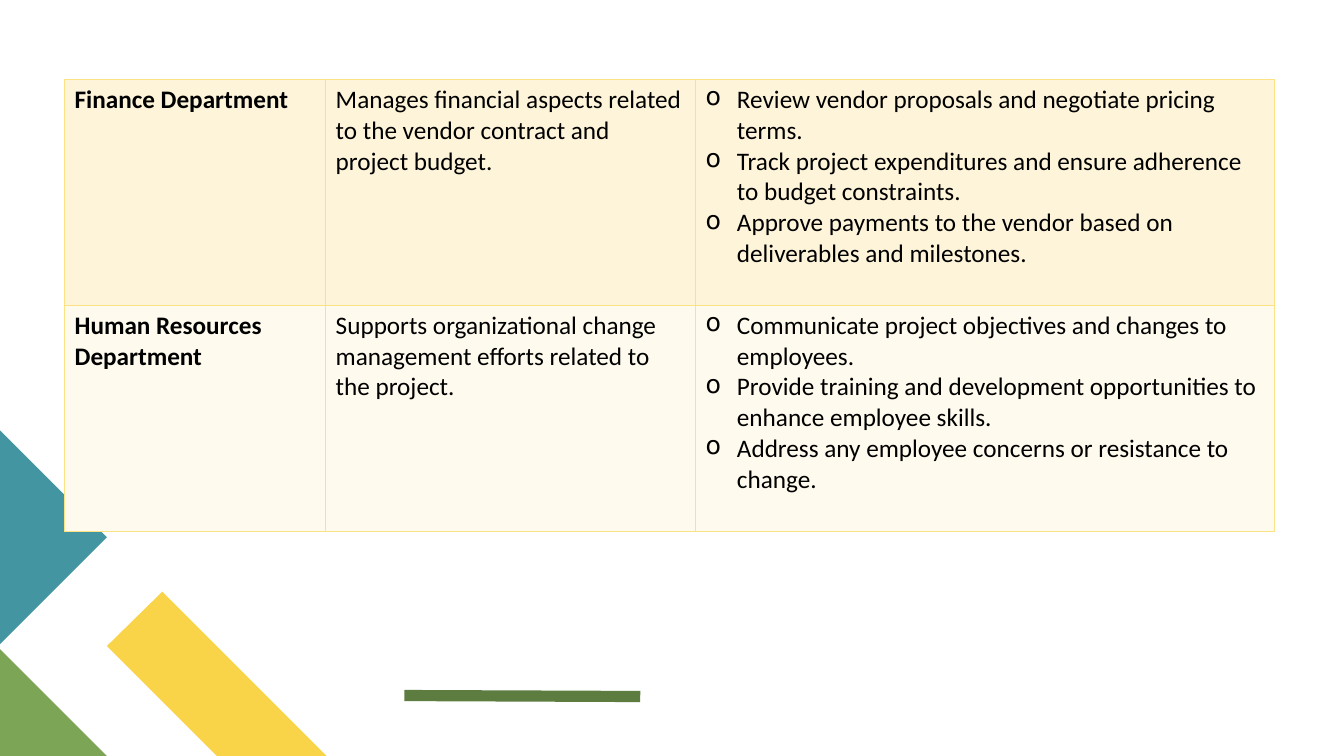
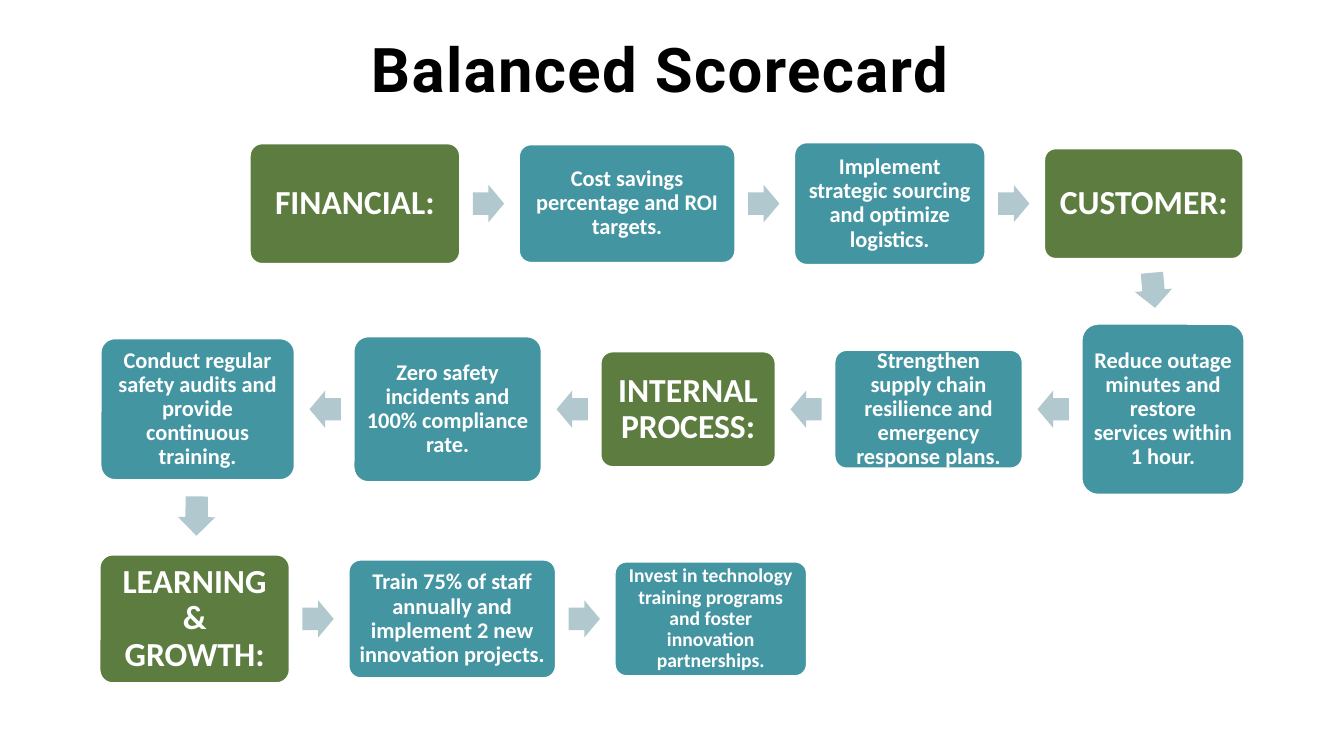
from dataclasses import dataclass

import pptx
import pptx.dml.color
import pptx.enum.shapes
import pptx.enum.text
import pptx.oxml
import pptx.oxml.ns
import pptx.shapes.autoshape
import pptx.slide
import pptx.table
import pptx.text.text
import pptx.util
from lxml import etree
from pptx.util import Inches

# Shared look
GREEN, TEAL, ARROW = "5D7D40", "4495A2", "B0C8CE"
YELLOW, LEAF, BORDER = "F9D448", "7CA655", "FBE284"
WHITE, BLACK = "FFFFFF", "000000"
BODY_FONT, TITLE_FONT = "Calibri", "Roboto"
BLANK_LAYOUT = 6
SHAPES = pptx.enum.shapes.MSO_SHAPE
ANCHOR = pptx.enum.text.MSO_ANCHOR
ALIGN = pptx.enum.text.PP_ALIGN


@dataclass(frozen=True)
class Department:
    name: str
    role: str
    duties: tuple[str, ...]
    fill: str


@dataclass(frozen=True)
class Step:
    text: str
    width: float
    height: float
    heading: bool = False
    size: int = 16


@dataclass(frozen=True)
class FlowRow:
    start: float  # edge where the row begins
    middle: float
    direction: int  # 1 runs to the right, -1 to the left
    steps: tuple[Step, ...]


DEPARTMENTS = (
    Department(
        "Finance Department",
        "Manages financial aspects related to the vendor contract and project budget.",
        (
            "Review vendor proposals and negotiate pricing terms.",
            "Track project expenditures and ensure adherence to budget constraints.",
            "Approve payments to the vendor based on deliverables and milestones.",
        ),
        "FDF4D9",
    ),
    Department(
        "Human Resources Department",
        "Supports organizational change management efforts related to the project.",
        (
            "Communicate project objectives and changes to employees.",
            "Provide training and development opportunities to enhance employee skills.",
            "Address any employee concerns or resistance to change.",
        ),
        "FEFAED",
    ),
)
COLUMN_WIDTHS = (2.59, 3.67, 5.74)
ROW_HEIGHT = 2.24

CORNER_PIECES = (
    (YELLOW, ((3.24, 7.5), (2.15, 7.5), (1.06, 6.41), (1.61, 5.87))),
    (LEAF, ((1.06, 7.5), (0, 7.5), (0, 6.44))),
    (TEAL, ((0, 4.27), (1.06, 5.33), (0, 6.39))),
)

FLOW = (
    FlowRow(2.48, 2.02, 1, (
        Step("FINANCIAL:", 2.08, 1.19, True),
        Step("Cost savings percentage and ROI targets.", 2.14, 1.17),
        Step("Implement strategic sourcing and optimize logistics.", 1.89, 1.21),
        Step("CUSTOMER:", 1.97, 1.09, True),
    )),
    FlowRow(12.34, 4.06, -1, (
        Step("Reduce outage minutes and restore services within 1 hour.", 1.61, 1.69),
        Step("Strengthen supply chain resilience and emergency response plans.", 1.86, 1.17),
        Step("INTERNAL PROCESS:", 1.73, 1.14, True),
        Step("Zero safety incidents and 100% compliance rate.", 1.86, 1.44),
        Step("Conduct regular safety audits and provide continuous training.", 1.92, 1.4),
    )),
    FlowRow(0.99, 6.14, 1, (
        Step("LEARNING & GROWTH:", 1.88, 1.27, True),
        Step("Train 75% of staff annually and implement 2 new innovation projects.", 2.05, 1.17),
        Step("Invest in technology training programs and foster innovation partnerships.",
             1.9, 1.13, size=14),
    )),
)
STEP_GAP, ARROW_OFFSET = 0.59, 0.13
ARROW_LENGTH, ARROW_HEIGHT = 0.31, 0.37


# Drawing helpers
def color(value: str) -> pptx.dml.color.RGBColor:
    return pptx.dml.color.RGBColor.from_string(value)


def write_text(
    frame: pptx.text.text.TextFrame,
    text: str,
    *,
    size: float = 18,
    font: str = BODY_FONT,
    fill: str = BLACK,
    bold: bool = False,
    align: ALIGN = ALIGN.LEFT,
    line_spacing: float | None = None,
    tracking: float = 0,
    bullet: str = "",
) -> None:
    """Write one paragraph, filling the frame's empty first one if there is one."""
    first = frame.paragraphs[0]
    paragraph = frame.add_paragraph() if first.runs else first
    paragraph.alignment = align
    if line_spacing:
        paragraph.line_spacing = line_spacing
    if bullet:
        properties = paragraph._p.get_or_add_pPr()
        properties.set("marL", str(Inches(0.31)))
        properties.set("indent", str(-Inches(0.31)))
        mark = etree.SubElement(properties, pptx.oxml.ns.qn("a:buChar"))
        mark.set("char", bullet)
    run = paragraph.add_run()
    run.text = text
    run.font.name = font
    run.font.size = pptx.util.Pt(size)
    run.font.bold = bold
    run.font.color.rgb = color(fill)
    if tracking:
        run._r.get_or_add_rPr().set("spc", str(round(tracking * 100)))


def set_frame(frame: pptx.text.text.TextFrame, inset: float, anchor: ANCHOR) -> None:
    frame.word_wrap = True
    frame.vertical_anchor = anchor
    frame.margin_left = frame.margin_right = Inches(inset)
    frame.margin_top = frame.margin_bottom = Inches(inset)


def paint(shape: pptx.shapes.autoshape.Shape, fill: str, line: str = "") -> None:
    shape.shadow.inherit = False
    shape.fill.solid()
    shape.fill.fore_color.rgb = color(fill)
    if line:
        shape.line.color.rgb = color(line)
        shape.line.width = pptx.util.Pt(1)
    else:
        shape.line.fill.background()


def add_centered(
    slide: pptx.slide.Slide, kind: SHAPES, x: float, y: float, width: float, height: float
) -> pptx.shapes.autoshape.Shape:
    return slide.shapes.add_shape(
        kind, Inches(x - width / 2), Inches(y - height / 2), Inches(width), Inches(height)
    )


def add_arrow(
    slide: pptx.slide.Slide, x: float, y: float, rotation: float, length: float = ARROW_LENGTH
) -> None:
    arrow = add_centered(slide, SHAPES.RIGHT_ARROW, x, y, length, ARROW_HEIGHT)
    arrow.adjustments[0], arrow.adjustments[1] = 0.6, 0.5
    arrow.rotation = rotation
    paint(arrow, ARROW)


def add_step(slide: pptx.slide.Slide, step: Step, x: float, y: float) -> None:
    box = add_centered(slide, SHAPES.ROUNDED_RECTANGLE, x, y, step.width, step.height)
    box.adjustments[0] = 0.1
    paint(box, GREEN if step.heading else TEAL, WHITE)
    size = 24 if step.heading else step.size
    set_frame(box.text_frame, round(size / 240, 2), ANCHOR.MIDDLE)
    write_text(box.text_frame, step.text, size=size, fill=WHITE, bold=True,
               align=ALIGN.CENTER, line_spacing=0.9)


def add_corner_decoration(slide: pptx.slide.Slide) -> None:
    for fill, points in CORNER_PIECES:
        corners = [(Inches(x), Inches(y)) for x, y in points]
        builder = slide.shapes.build_freeform(*corners[0])
        builder.add_line_segments(corners[1:], close=True)
        paint(builder.convert_to_shape(), fill)
    rule = slide.shapes.add_connector(
        pptx.enum.shapes.MSO_CONNECTOR.STRAIGHT,
        Inches(4.01), Inches(6.9), Inches(6.35), Inches(6.91),
    )
    rule.line.color.rgb = color(GREEN)
    rule.line.width = pptx.util.Pt(8)
    etree.SubElement(rule._element.spPr, pptx.oxml.ns.qn("a:effectLst"))


def style_cell(cell: pptx.table._Cell, fill: str) -> None:
    properties = cell._tc.get_or_add_tcPr()
    for side in ("lnL", "lnR", "lnT", "lnB"):
        border = etree.SubElement(properties, pptx.oxml.ns.qn(f"a:{side}"))
        border.set("w", str(pptx.util.Pt(1)))
        solid = etree.SubElement(border, pptx.oxml.ns.qn("a:solidFill"))
        etree.SubElement(solid, pptx.oxml.ns.qn("a:srgbClr")).set("val", BORDER)
    cell.fill.solid()
    cell.fill.fore_color.rgb = color(fill)


# Slides
def build_departments(slide: pptx.slide.Slide) -> None:
    add_corner_decoration(slide)
    table = slide.shapes.add_table(
        len(DEPARTMENTS), len(COLUMN_WIDTHS), Inches(0.64), Inches(0.79),
        Inches(sum(COLUMN_WIDTHS)), Inches(ROW_HEIGHT * len(DEPARTMENTS)),
    ).table
    table.first_row = table.horz_banding = False
    for column, width in zip(table.columns, COLUMN_WIDTHS):
        column.width = Inches(width)
    for row, department in zip(table.rows, DEPARTMENTS):
        row.height = Inches(ROW_HEIGHT)
        name, role, duties = row.cells
        for cell in (name, role, duties):
            style_cell(cell, department.fill)
        write_text(name.text_frame, department.name, bold=True)
        write_text(role.text_frame, department.role)
        for duty in department.duties:
            write_text(duties.text_frame, duty, bullet="o")


def build_scorecard(slide: pptx.slide.Slide) -> None:
    title = slide.shapes.add_textbox(Inches(3.68), Inches(0.18), Inches(8.36), Inches(0.86))
    set_frame(title.text_frame, 0, ANCHOR.BOTTOM)
    write_text(title.text_frame, "Balanced Scorecard", size=44, font=TITLE_FONT,
               bold=True, line_spacing=0.8, tracking=1)

    for row in FLOW:
        edge = row.start
        for index, step in enumerate(row.steps):
            if index:
                arrow_x = edge + row.direction * (ARROW_OFFSET + ARROW_LENGTH / 2)
                add_arrow(slide, arrow_x, row.middle, 0 if row.direction > 0 else 180)
                edge += row.direction * STEP_GAP
            add_step(slide, step, edge + row.direction * step.width / 2, row.middle)
            edge += row.direction * step.width

    # Turns from one row to the next
    add_arrow(slide, 11.44, 2.88, 84.9, 0.35)
    add_arrow(slide, 1.95, 5.12, 90.6, 0.39)


def main() -> None:
    presentation = pptx.Presentation()
    presentation.slide_width = Inches(13.33)
    presentation.slide_height = Inches(7.5)
    for build in (build_departments, build_scorecard):
        build(presentation.slides.add_slide(presentation.slide_layouts[BLANK_LAYOUT]))
    presentation.save("out.pptx")


if __name__ == "__main__":
    main()
